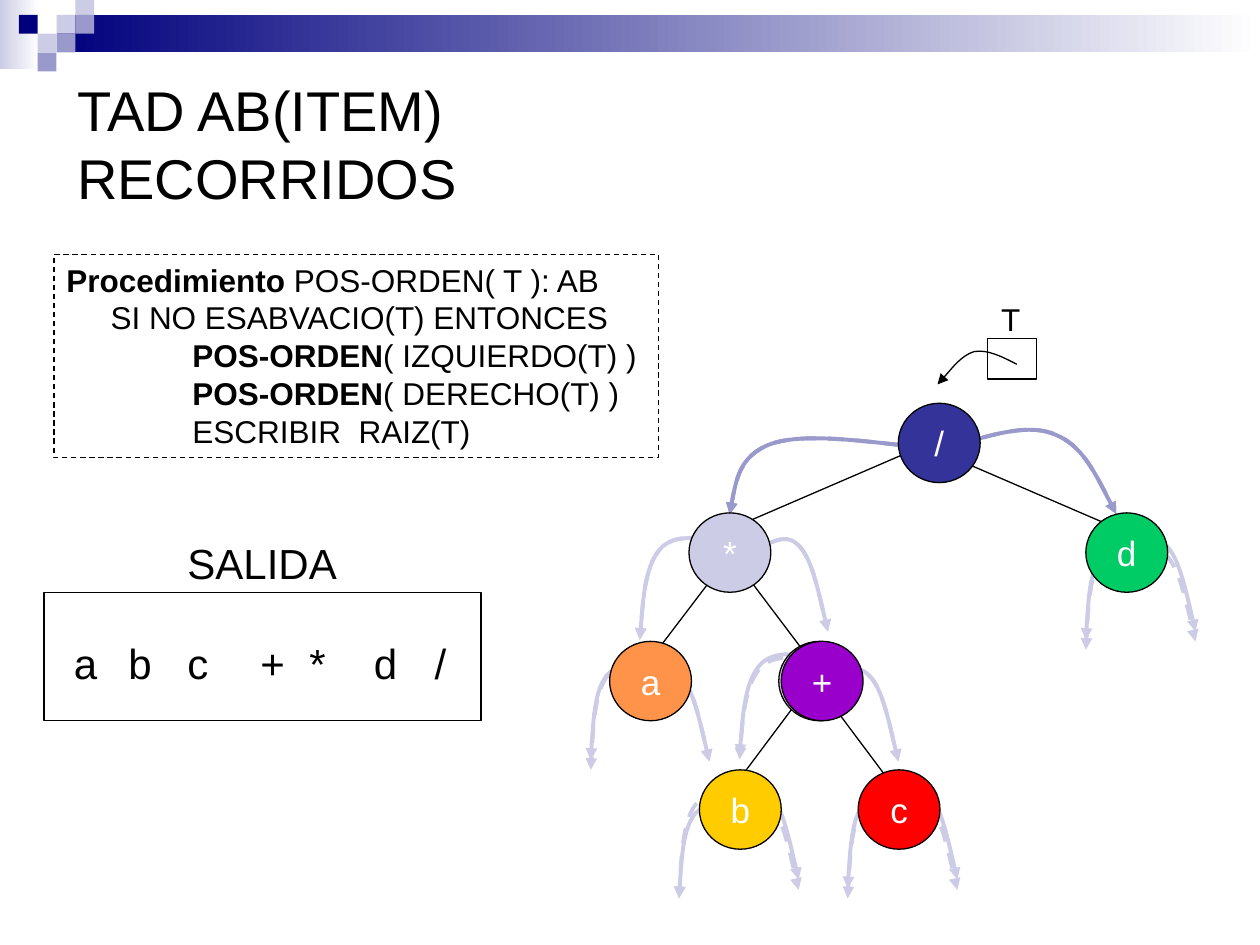
"""Build the slide on post-order traversal of a binary tree."""
import lxml.etree
import pptx
import pptx.dml.color
import pptx.enum.dml
import pptx.enum.shapes
import pptx.enum.text
import pptx.oxml.ns
import pptx.util

Cm = pptx.util.Cm
KIND = pptx.enum.shapes.MSO_SHAPE
ALIGN = pptx.enum.text.PP_ALIGN
ANCHOR = pptx.enum.text.MSO_ANCHOR
DASH = pptx.enum.dml.MSO_LINE.DASH

LEFT = [(1, .14), (.7, .07), (.4, 0), (.23, .14), (.06, .29), (.03, .64), (0, 1)]
RIGHT = [(0, .24), (.23, .12), (.46, 0), (.62, .13), (.79, .25), (.89, .63), (1, 1)]
HOOK = [(1, .43), (.81, .21), (.63, 0), (.46, .07), (.3, .18), (.08, .82), (0, 1)]
PALE, MID, NAVY = "CCCCE6", "9999CC", "00007D"

CELLS = [(2, 1, PALE), (3, 0, PALE), (3, 1, MID), (1, 2, PALE),
         (0, 1, NAVY), (2, 2, MID), (1, 3, MID)]
EDGES = [(14.3, 11.73, 13.06, 13.36), (15.19, 11.79, 16.36, 13.34),
         (18.42, 9.07, 14.71, 10.67), (18.85, 9.07, 22.56, 10.67),
         (15.98, 14.27, 14.76, 15.9), (16.87, 14.33, 18.03, 15.88)]
CALLS = [(LEFT, 14.71, 3.4, (8.74, 1.63), (8.74, 1.63), MID),
         (RIGHT, 19.3, 3.2, (8.53, 1.83), (8.53, 1.83), MID),
         (LEFT, 12.9, 1.96, (10.72, 2.18), (10.72, 2.18), PALE),
         (LEFT, 14.91, 1.96, (13.13, 2.18), (13.06, 2.18), PALE),
         (LEFT, 21.89, 1.4, (10.92, 2.18), (10.92, 1.98), PALE),
         (LEFT, 11.91, 1.4, (13.34, 2.18), (13.34, 1.98), PALE),
         (LEFT, 13.69, 1.4, (15.93, 2.18), (16.13, 1.98), PALE),
         (LEFT, 17.09, 1.4, (15.93, 2.18), (15.93, 1.98), PALE),
         (RIGHT, 15.09, 1.6, (10.72, 2.01), (10.72, 2.01), PALE),
         (RIGHT, 22.5, 1.6, (10.92, 2.01), (10.72, 2.01), PALE),
         (RIGHT, 12.7, 1.6, (13.34, 2.01), (13.34, 2.01), PALE),
         (RIGHT, 16.51, 1.6, (13.34, 2.01), (13.34, 2.01), PALE),
         (RIGHT, 14.5, 1.6, (15.93, 2.01), (15.72, 2.01), PALE),
         (RIGHT, 17.7, 1.6, (15.93, 2.01), (15.72, 2.01), PALE)]
NODES = [("/", 18.11, 8.13, "333399"), ("*", 13.89, 10.34, PALE),
         ("d", 21.89, 10.34, "00CC66"), ("a", 12.29, 12.93, "FF9349"),
         ("", 15.7, 12.93, "E8BDEE"), ("+", 15.75, 12.93, "9900CC"),
         ("b", 14.1, 15.52, "FFCC00"), ("c", 17.3, 15.52, "FF0000")]
OUTPUT = [("a", 1.24), ("b", 2.34), ("c", 3.53), ("+", 5), ("*", 5.99),
          ("d", 7.29), ("/", 8.51)]
CODE = [(0, "Procedimiento", " POS-ORDEN( T ): AB"),
        (.89, "", "SI NO ESABVACIO(T) ENTONCES"),
        (2.54, "POS-ORDEN", "( IZQUIERDO(T) )"),
        (2.54, "POS-ORDEN", "( DERECHO(T) )"),
        (2.54, "", "ESCRIBIR  RAIZ(T)")]


def hue(code):
    """Turn a hex string into a colour."""
    return pptx.dml.color.RGBColor.from_string(code)


def node(root, tag, **vals):
    """Append a drawing element to a parent."""
    return lxml.etree.SubElement(root, pptx.oxml.ns.qn(tag), vals)


class Page:
    """Hold the style and the current slide."""

    font = {"name": "Arial", "bold": False}

    def __init__(self, slide):
        """Keep the slide to draw on."""
        self.slide = slide
        self.items = slide.shapes

    def style(self, font, size, code="000000", **more):
        """Format a font."""
        for key, val in {**self.font, "size": pptx.util.Pt(size), **more}.items():
            setattr(font, key, val)
        font.color.rgb = hue(code)

    def stroke(self, line, code, width=.75, dash=None):
        """Format a line."""
        look = {"width": pptx.util.Pt(width), "dash_style": dash}
        for key, val in look.items():
            setattr(line, key, val)
        line.color.rgb = hue(code)

    def title(self, text, *box):
        """Fill and place the title."""
        item = self.items.title
        for key, val in zip(("left", "top", "width", "height"), box):
            setattr(item, key, Cm(val))
        frame = item.text_frame
        frame.text = text
        frame.vertical_anchor = ANCHOR.MIDDLE
        frame.auto_size = pptx.enum.text.MSO_AUTO_SIZE.NONE
        para = frame.paragraphs[0]
        para.alignment = ALIGN.LEFT
        self.style(para.font, 32)

    def shape(self, kind, box, fill=None, line=None, dash=None):
        """Add a preset shape; a pair of fills makes a gradient."""
        item = self.items.add_shape(kind, *map(Cm, box))
        item.shadow.inherit = False
        if isinstance(fill, tuple):
            item.fill.gradient()
            item.fill.gradient_angle = 0
            for stop, code in zip(item.fill.gradient_stops, fill):
                stop.color.rgb = hue(code)
        elif fill:
            item.fill.solid()
            item.fill.fore_color.rgb = hue(fill)
        else:
            item.fill.background()
        if line:
            self.stroke(item.line, line, dash=dash)
        else:
            item.line.fill.background()
        return item

    def text(self, words, box, size, wrap=False):
        """Add a text box."""
        frame = self.items.add_textbox(*map(Cm, box)).text_frame
        frame.word_wrap = wrap
        frame.text = words
        self.style(frame.paragraphs[0].font, size)

    def ball(self, label, x, y, fill):
        """Add a tree node."""
        frame = self.shape(KIND.OVAL, (x, y, 1.65, 1.6), fill, "000000").text_frame
        if label:
            frame.text = label
            frame.word_wrap = False
            frame.vertical_anchor = ANCHOR.MIDDLE
            para = frame.paragraphs[0]
            para.alignment = ALIGN.CENTER
            self.style(para.font, 20, "FFFFFF")

    def code(self, rows, box):
        """Add the dashed box with the procedure."""
        frame = self.shape(KIND.RECTANGLE, box, None, "000000", DASH).text_frame
        frame.word_wrap = True
        frame.vertical_anchor = ANCHOR.TOP
        for num, (inset, head, rest) in enumerate(rows):
            para = frame.add_paragraph() if num else frame.paragraphs[0]
            para.alignment = ALIGN.LEFT
            para._p.get_or_add_pPr().set("marL", str(Cm(inset)))
            for words, bold in ((head, True), (rest, False)):
                if words:
                    run = para.add_run()
                    run.text = words
                    self.style(run.font, 18, bold=bold)

    def edge(self, *ends):
        """Add a straight tree edge."""
        item = self.items.add_connector(
            pptx.enum.shapes.MSO_CONNECTOR.STRAIGHT, *map(Cm, ends))
        self.stroke(item.line, "000000")
        node(item._element.spPr, "a:effectLst")

    def curve(self, form, box, code, width=2.25, dash=None):
        """Add a curved arrow scaled from a unit form."""
        x, y, wide, high = box
        pts = [(Cm(x + u * wide), Cm(y + v * high)) for u, v in form]
        pen = self.items.build_freeform(*pts[0])
        pen.add_line_segments(pts[1:], close=False)
        item = pen.convert_to_shape()
        item.shadow.inherit = False
        item.fill.background()
        self.stroke(item.line, code, width, dash)
        node(item.line._get_or_add_ln(), "a:tailEnd", type="triangle")
        segs = item._element.xpath(".//a:lnTo")
        for trio in (segs[:3], segs[3:]):
            bend = node(trio[0].getparent(), "a:cubicBezTo")
            for seg in trio:
                bend.append(seg[0])
                seg.getparent().remove(seg)


def main():
    """Draw the slide and save it."""
    deck = pptx.Presentation()
    deck.slide_width, deck.slide_height = Cm(25.4), Cm(19.05)
    page = Page(deck.slides.add_slide(deck.slide_layouts[5]))
    page.shape(KIND.RECTANGLE, (0, -.08, .79, 1.48), (PALE, "FFFFFF"))
    page.shape(KIND.RECTANGLE, (1.14, .3, 24.26, .76), (NAVY, "FFFFFF"))
    for col, row, fill in CELLS:
        page.shape(KIND.RECTANGLE, (.38 * (col + 1), .38 * row - .08, .38, .38), fill)
    page.title("TAD AB(ITEM)\vRECORRIDOS", 1.3, 1.83, 22.86, 2.11)
    for ends in EDGES:
        page.edge(*ends)
    for form, x, wide, dashed, solid, fill in CALLS:
        for (y, high), dash in ((dashed, DASH), (solid, None)):
            page.curve(form, (x, y, wide, high), fill, dash=dash)
    page.shape(KIND.RECTANGLE, (19.91, 6.83, .99, .81), None, "000000")
    page.text("T", (19.93, 5.92, .9, 1.02), 18)
    page.curve(HOOK, (18.9, 7.04, 1.6, .71), "000000", .75)
    page.text("SALIDA", (3.53, 10.72, 3.76, 1.27), 24, True)
    page.shape(KIND.RECTANGLE, (.89, 11.94, 8.81, 2.59), None, "000000")
    for label, x in OUTPUT:
        page.text(label, (x, 12.73, 1.2, 1.27), 24)
    page.code(CODE, (1.09, 5.13, 12.19, 4.09))
    for spec in NODES:
        page.ball(*spec)
    deck.save("out.pptx")


if __name__ == "__main__":
    main()
